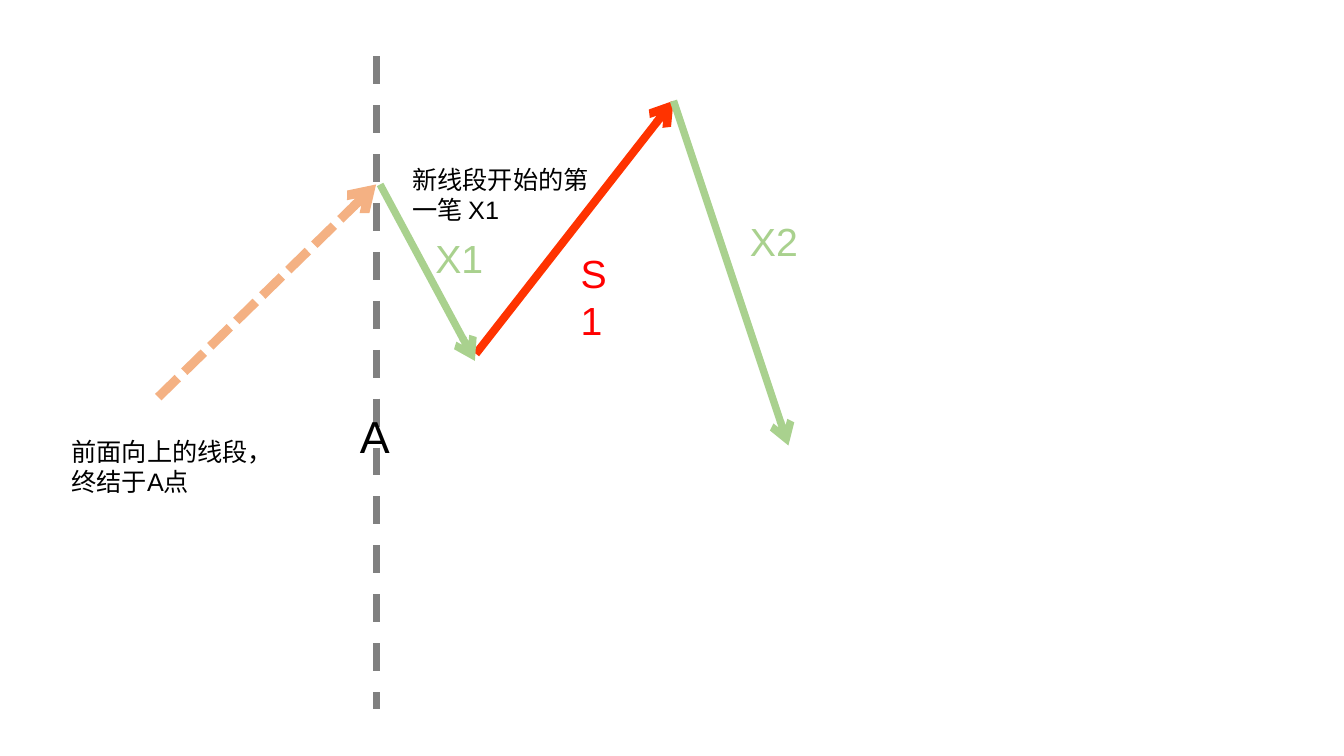
from lxml import etree
from pptx import Presentation
from pptx import util as u
from pptx.dml.color import RGBColor
from pptx.enum import dml, shapes, text
from pptx.oxml.ns import qn

# Positions are columns and rows of a square grid, ten cells to the inch
CELL = u.Inches(0.1)
GREEN, RED, BLACK = "A9D18E", "FF0000", "000000"


def color(value):
    return RGBColor.from_string(value)


def cells(*counts):
    return [round(count * CELL) for count in counts]


class Diagram:
    font_name = "Arial"

    def __init__(self, slide):
        self.slide = slide

    def stroke(self, start, end, ink, width, dash=None, arrow=True):
        line = self.slide.shapes.add_connector(
            shapes.MSO_CONNECTOR.STRAIGHT, *cells(*start, *end))
        formats = {"width": u.Pt(width), "dash_style": dash}
        for name, value in formats.items():
            setattr(line.line, name, value)
        line.line.color.rgb = color(ink)
        properties = line.line._get_or_add_ln()
        if arrow:
            etree.SubElement(properties, qn("a:tailEnd"), type="arrow")
        etree.SubElement(properties.getparent(), qn("a:effectLst"))

    def label(self, words, place, size, ink=BLACK, wrap=True):
        frame = self.slide.shapes.add_textbox(*cells(*place)).text_frame
        frame.word_wrap = wrap
        frame.auto_size = text.MSO_AUTO_SIZE.SHAPE_TO_FIT_TEXT
        run = frame.paragraphs[0].add_run()
        run.text = words
        formats = {"name": self.font_name, "size": u.Pt(size)}
        for name, value in formats.items():
            setattr(run.font, name, value)
        run.font.color.rgb = color(ink)


def main():
    deck = Presentation()
    deck.slide_width, deck.slide_height = u.Inches(13.33), u.Inches(7.5)
    diagram = Diagram(deck.slides.add_slide(deck.slide_layouts[6]))
    peak = (66.8, 10)

    # Earlier rising segment, first red stroke and the divider at A
    diagram.stroke((15.7, 39.4), (37.3, 18.3), "F4B183", 6.5,
                   dml.MSO_LINE.SQUARE_DOT)
    diagram.stroke((47.2, 35.1), peak, "FF3300", 5.75)
    diagram.stroke((37.3, 5.6), (37.3, 70.3), "808080", 5,
                   dml.MSO_LINE.DASH, arrow=False)

    # Explanations
    diagram.label("前面向上的线段，终结于A点", (6.1, 42.8, 23.9, 7.1), 18)
    diagram.label("A", (34.7, 40.1, 5.2, 6.4), 32, wrap=False)
    diagram.label("新线段开始的第一笔 X1", (39.9, 15.8, 20, 7.1), 18)
    diagram.label("S1", (56.6, 24.2, 6.3, 5.7), 28, RED)

    # Falling strokes with their names
    falling = [
        ("X1", (37.7, 18.3), (47.1, 35.8), (42.2, 22.8)),
        ("X2", peak, (78.2, 44.2), (73.4, 21.1)),
    ]
    for name, start, end, corner in falling:
        diagram.stroke(start, end, GREEN, 5.25)
        diagram.label(name, (*corner, 8.4, 5.7), 28, GREEN)

    deck.save("out.pptx")


if __name__ == "__main__":
    main()
